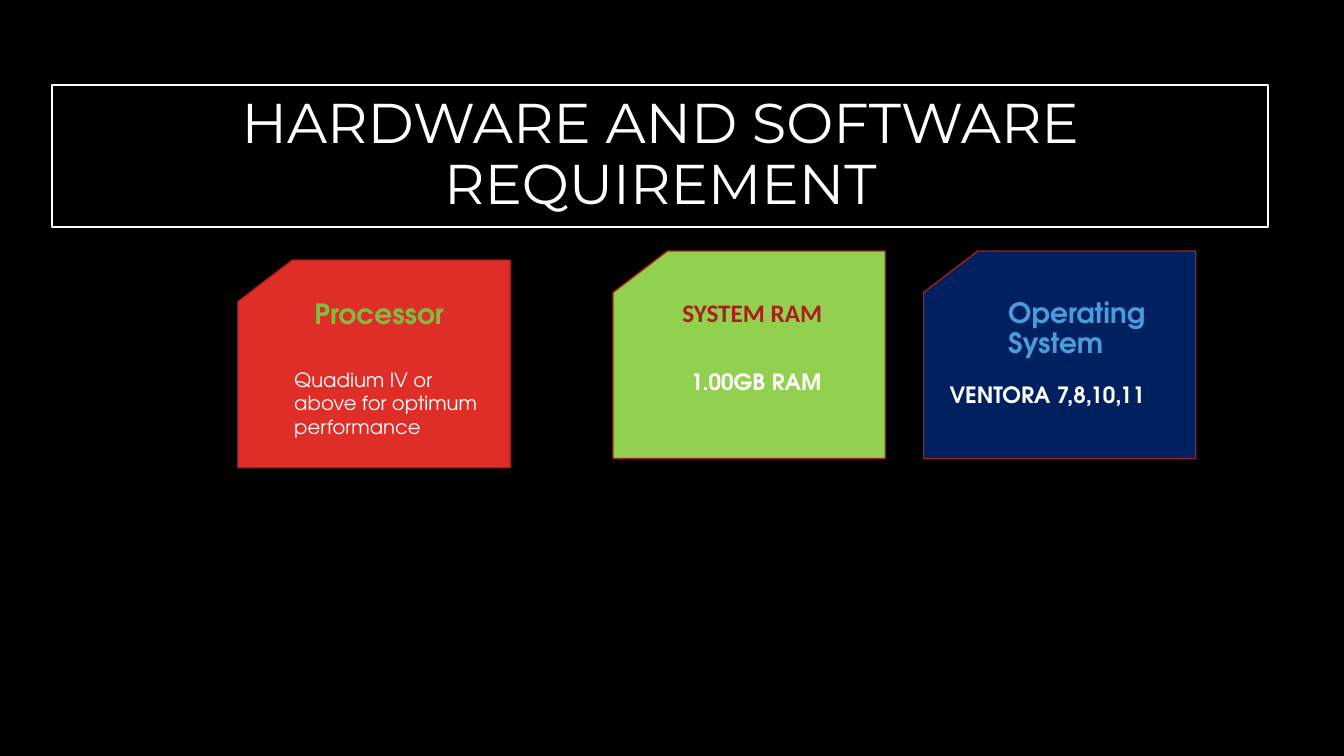
from dataclasses import dataclass

from pptx import Presentation
from pptx.dml.color import RGBColor
from pptx.enum.shapes import MSO_SHAPE
from pptx.enum.text import MSO_ANCHOR, MSO_AUTO_SIZE, PP_ALIGN
from pptx.util import Inches, Pt

PUNCHED_CARD = MSO_SHAPE.FLOWCHART_CARD
MIDDLE, TOP = MSO_ANCHOR.MIDDLE, MSO_ANCHOR.TOP
LEFT, CENTER = PP_ALIGN.LEFT, PP_ALIGN.CENTER
NO_AUTOFIT = MSO_AUTO_SIZE.NONE
TITLE_ONLY = 5


@dataclass(frozen=True)
class Theme:
    black: str = "000000"
    white: str = "FFFFFF"
    red: str = "DF2E28"
    dark_red: str = "AB1E19"
    outline: str = "A2211D"
    lime: str = "92D050"
    green: str = "81BB42"
    navy: str = "002060"
    blue: str = "4A9BDC"
    title_font: str = "Montserrat"
    text_font: str = "TeX Gyre Adventor"
    ram_font: str = "Calibri"
    title_size: int = 40
    heading_size: int = 20
    ram_heading_size: int = 18
    detail_size: int = 16
    small_size: int = 14


THEME = Theme()


@dataclass(frozen=True)
class Label:
    text: str
    left: float
    top: float
    width: float
    height: float
    size: int
    color: str
    font: str = THEME.text_font
    bold: bool = True
    align: PP_ALIGN = LEFT
    spacing: float = 1.0


@dataclass(frozen=True)
class Card:
    left: float
    top: float
    fill: str
    heading: Label
    detail: Label


CARD_WIDTH, CARD_HEIGHT = 2.7, 2.06
HEADING_HEIGHT, DETAIL_HEIGHT = 0.33, 0.77

TITLE = Label("HARDWARE AND SOFTWARE REQUIREMENT", 0.52, 0.84, 12.06, 1.41,
              THEME.title_size, THEME.white, THEME.title_font, False, CENTER, 0.9)

CARDS = [
    Card(2.36, 2.58, THEME.red,
         Label("Processor", 3.02, 2.93, 1.96, HEADING_HEIGHT,
               THEME.heading_size, THEME.green, spacing=0.9),
         Label("Quadium IV or above for optimum performance", 2.82, 3.6, 2.23,
               DETAIL_HEIGHT, THEME.small_size, THEME.white, bold=False)),
    Card(6.08, 2.49, THEME.lime,
         Label("SYSTEM RAM", 6.67, 2.93, 1.96, HEADING_HEIGHT,
               THEME.ram_heading_size, THEME.dark_red, THEME.ram_font, spacing=0.9),
         Label("1.00GB RAM", 6.51, 3.6, 1.98, DETAIL_HEIGHT,
               THEME.detail_size, THEME.white, align=CENTER)),
    Card(9.16, 2.49, THEME.navy,
         Label("Operating System", 9.9, 2.92, 1.76, HEADING_HEIGHT,
               THEME.heading_size, THEME.blue, spacing=0.9),
         Label("VENTORA 7,8,10,11", 9.32, 3.73, 2.7, DETAIL_HEIGHT,
               THEME.detail_size, THEME.white)),
]


def rgb(color: str) -> RGBColor:
    return RGBColor.from_string(color)


def paint(shape, fill: str, line: str, line_width: float) -> None:
    shape.fill.solid()
    shape.fill.fore_color.rgb = rgb(fill)
    shape.line.color.rgb = rgb(line)
    shape.line.width = Pt(line_width)


def write(shape, label: Label, anchor: MSO_ANCHOR = TOP) -> None:
    frame = shape.text_frame
    frame.text = label.text
    frame.word_wrap = True
    frame.auto_size = NO_AUTOFIT
    frame.vertical_anchor = anchor
    paragraph = frame.paragraphs[0]
    paragraph.alignment = label.align
    paragraph.line_spacing = label.spacing
    font = paragraph.runs[0].font
    font.name = label.font
    font.size = Pt(label.size)
    font.bold = label.bold
    font.color.rgb = rgb(label.color)


def add_title(slide, label: Label) -> None:
    title = slide.shapes.title
    title.left, title.top = Inches(label.left), Inches(label.top)
    title.width, title.height = Inches(label.width), Inches(label.height)
    paint(title, THEME.black, THEME.white, 1.5)
    write(title, label, MIDDLE)


def add_label(slide, label: Label) -> None:
    box = slide.shapes.add_textbox(Inches(label.left), Inches(label.top),
                                   Inches(label.width), Inches(label.height))
    write(box, label)


def add_card(slide, card: Card) -> None:
    panel = slide.shapes.add_shape(PUNCHED_CARD, Inches(card.left), Inches(card.top),
                                   Inches(CARD_WIDTH), Inches(CARD_HEIGHT))
    panel.shadow.inherit = False
    paint(panel, card.fill, THEME.outline, 1)
    add_label(slide, card.heading)
    add_label(slide, card.detail)


def main() -> None:
    # Slide and background
    deck = Presentation()
    deck.slide_width, deck.slide_height = Inches(13.33), Inches(7.5)
    slide = deck.slides.add_slide(deck.slide_layouts[TITLE_ONLY])
    slide.background.fill.solid()
    slide.background.fill.fore_color.rgb = rgb(THEME.black)

    # Title and requirement cards
    add_title(slide, TITLE)
    for card in CARDS:
        add_card(slide, card)

    deck.save("out.pptx")


if __name__ == "__main__":
    main()
